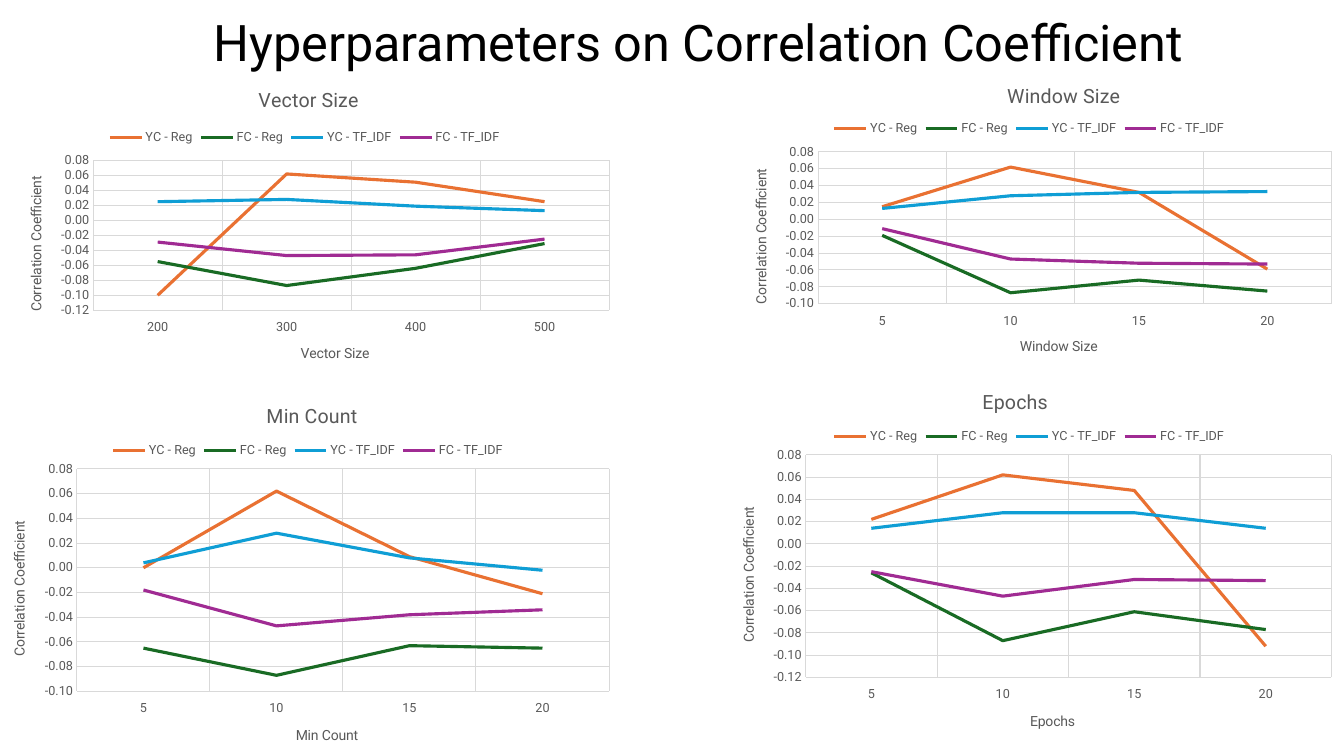
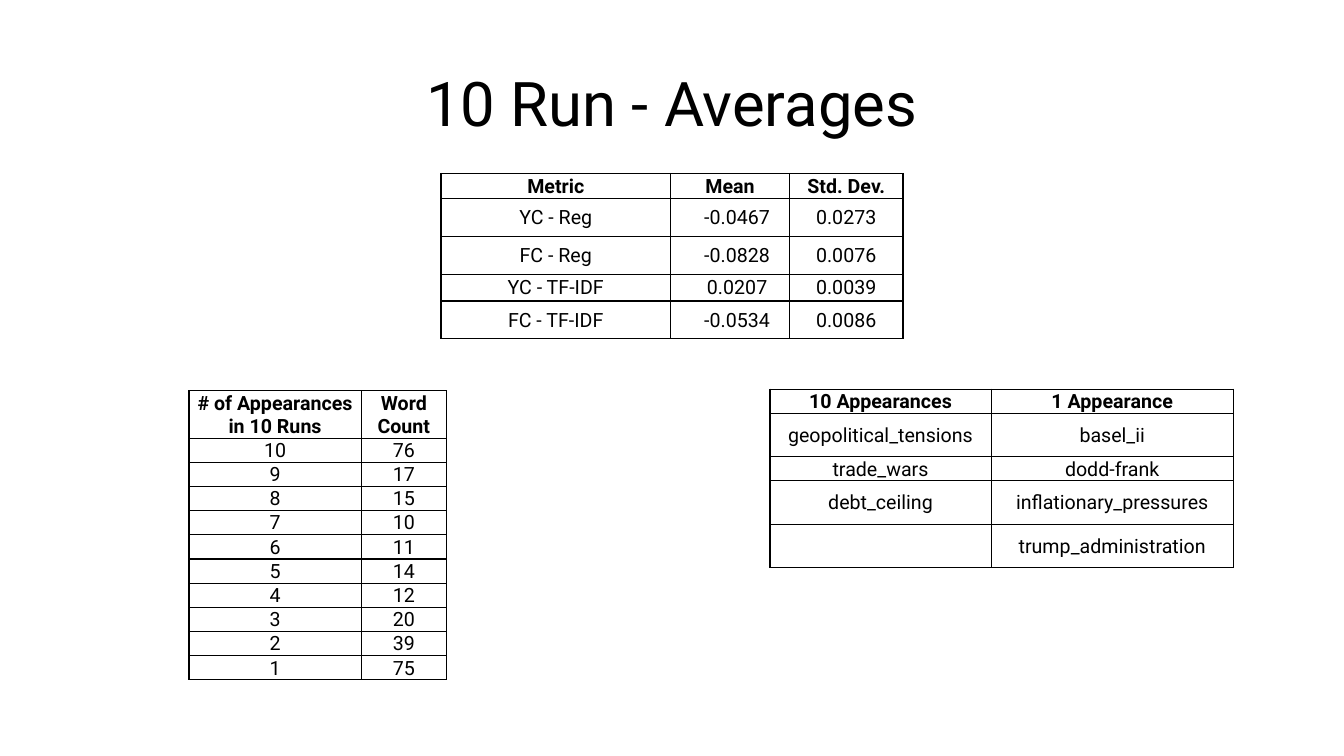
from pptx import Presentation
from pptx.chart.data import CategoryChartData
from pptx.dml.color import RGBColor
from pptx.enum.chart import (XL_CHART_TYPE as ChartType, XL_LEGEND_POSITION as LegendPos,
                             XL_MARKER_STYLE as Marker, XL_TICK_LABEL_POSITION as LabelPos,
                             XL_TICK_MARK as Tick)
from pptx.enum.text import MSO_ANCHOR as Anchor, MSO_AUTO_SIZE as AutoSize, PP_ALIGN as Align
from pptx.oxml import parse_xml
from pptx.oxml.ns import nsdecls, qn
from pptx.util import Pt

FONT = "Roboto"
BLACK = RGBColor(0x00, 0x00, 0x00)
GRAY = RGBColor(0x59, 0x59, 0x59)
GRID = RGBColor(0xD9, 0xD9, 0xD9)
SERIES = [
    ("YC - Reg", RGBColor(0xE9, 0x71, 0x32)),
    ("FC - Reg", RGBColor(0x19, 0x6B, 0x24)),
    ("YC - TF_IDF", RGBColor(0x0F, 0x9E, 0xD5)),
    ("FC - TF_IDF", RGBColor(0xA0, 0x2B, 0x93)),
]
LEGEND_TOP = 40

# name, box, axis minimum, title corner, plot area, categories, one row per series
CHARTS = [
    ("Vector Size", (0, 50, 444, 223), -0.12, (0.41, 0.04), (0.15, 0.29, 0.83, 0.48),
     ("200", "300", "400", "500"),
     [(-0.1, 0.062, 0.051, 0.025), (-0.055, -0.087, -0.064, -0.031),
      (0.025, 0.028, 0.019, 0.013), (-0.029, -0.047, -0.046, -0.025)]),
    ("Window Size", (518, 43, 442, 226), -0.1, (0.45, 0.06), (0.15, 0.29, 0.83, 0.48),
     ("5", "10", "15", "20"),
     [(0.015, 0.062, 0.032, -0.059), (-0.019, -0.087, -0.072, -0.085),
      (0.013, 0.028, 0.032, 0.033), (-0.011, -0.047, -0.052, -0.053)]),
    ("Min Count", (0, 274, 458, 265), -0.1, (0.41, 0.04), (0.12, 0.23, 0.83, 0.6),
     ("5", "10", "15", "20"),
     [(0, 0.062, 0.009, -0.021), (-0.065, -0.087, -0.063, -0.065),
      (0.004, 0.028, 0.008, -0.002), (-0.018, -0.047, -0.038, -0.034)]),
    ("Epochs", (518, 264, 442, 265), -0.12, (0.41, 0.04), (0.13, 0.23, 0.85, 0.6),
     ("5", "10", "15", "20"),
     [(0.022, 0.062, 0.048, -0.092), (-0.026, -0.087, -0.061, -0.077),
      (0.014, 0.028, 0.028, 0.014), (-0.025, -0.047, -0.032, -0.033)]),
]

METRICS = [
    ("Metric", "Mean", "Std. Dev."),
    ("YC - Reg", "-0.0467", "0.0273"),
    ("FC - Reg", "-0.0828", "0.0076"),
    ("YC - TF-IDF", "0.0207", "0.0039"),
    ("FC - TF-IDF", "-0.0534", "0.0086"),
]
WORD_COUNTS = [76, 17, 15, 10, 11, 14, 12, 20, 39, 75]
APPEARANCES = [("# of Appearances in 10 Runs", "Word Count")] + [
    (str(10 - i), str(count)) for i, count in enumerate(WORD_COUNTS)]
WORDS = [
    ("10 Appearances", "1 Appearance"),
    ("geopolitical_tensions", "basel_ii"),
    ("trade_wars", "dodd-frank"),
    ("debt_ceiling", "inflationary_pressures"),
    ("", "trump_administration"),
]


def style_font(font, size, color, bold=False):
    font.name = FONT
    font.size = Pt(size)
    font.bold = bold
    font.color.rgb = color


def add_span(para, text, size, color, bold=False):
    span = para.add_run()
    span.text = text
    style_font(span.font, size, color, bold)


def add_titled_page(deck, text, box, size):
    page = deck.slides.add_slide(deck.slide_layouts[5])
    title = page.shapes.title
    title.left, title.top, title.width, title.height = map(Pt, box)
    frame = title.text_frame
    frame.word_wrap = True
    frame.auto_size = AutoSize.NONE
    frame.vertical_anchor = Anchor.MIDDLE
    para = frame.paragraphs[0]
    para.alignment = Align.CENTER
    para.line_spacing = 0.9
    add_span(para, text, size, BLACK)
    return page


def set_layout(element, **fractions):
    """Fix the place of a chart part, in fractions of the chart's size."""
    for old in element.findall(qn("c:layout")):
        element.remove(old)
    target = '<c:layoutTarget val="inner"/>' if "w" in fractions else ""
    modes = "".join(f'<c:{key}Mode val="edge"/>' for key in "xy")
    values = "".join(f'<c:{key} val="{value:.2f}"/>' for key, value in fractions.items())
    layout = parse_xml(f'<c:layout {nsdecls("c")}><c:manualLayout>{target}{modes}{values}'
                       '</c:manualLayout></c:layout>')
    leading = [child for child in element if child.tag in (qn("c:tx"), qn("c:legendPos"))]
    element.insert(len(leading), layout)


def style_axis(axis, title):
    axis.has_major_gridlines = True
    axis.major_tick_mark = axis.minor_tick_mark = Tick.NONE
    for line in (axis.format.line, axis.major_gridlines.format.line):
        line.color.rgb = GRID
        line.width = Pt(0.75)
    style_font(axis.tick_labels.font, 9, GRAY)
    add_span(axis.axis_title.text_frame.paragraphs[0], title, 10, GRAY)


def add_line_chart(page, name, box, minimum, corner, plot_area, categories, rows):
    data = CategoryChartData(number_format="0.00")
    data.categories = categories
    for (label, _), values in zip(SERIES, rows):
        data.add_series(label, values)
    chart = page.shapes.add_chart(ChartType.LINE, *map(Pt, box), data).chart
    style_font(chart.font, 10, BLACK)

    chart.has_title = True
    add_span(chart.chart_title.text_frame.paragraphs[0], name, 14, GRAY)
    chart.has_legend = True
    chart.legend.position = LegendPos.TOP
    chart.legend.include_in_layout = False
    style_font(chart.legend.font, 9, GRAY)

    style_axis(chart.category_axis, name)
    chart.category_axis.tick_label_position = LabelPos.LOW
    scale = chart.value_axis
    style_axis(scale, "Correlation Coefficient")
    scale.format.line.fill.background()
    scale.minimum_scale, scale.maximum_scale, scale.major_unit = minimum, 0.08, 0.02
    scale.tick_labels.number_format = "0.00"
    scale.tick_labels.number_format_is_linked = False

    plot = chart.plots[0]
    plot.vary_by_categories = False
    for series, (_, color) in zip(plot.series, SERIES):
        series.smooth = False
        series.marker.style = Marker.NONE
        series.format.line.color.rgb = color
        series.format.line.width = Pt(2.25)

    title, area, legend = (chart.element.xpath(f"c:chart/c:{part}")[0]
                           for part in ("title", "plotArea", "legend"))
    set_layout(title, **dict(zip("xy", corner)))
    set_layout(area, **dict(zip("xywh", plot_area)))
    set_layout(legend, x=0.17, y=LEGEND_TOP / box[3])


def add_borders(cell):
    properties = cell._tc.get_or_add_tcPr()
    for i, side in enumerate("LRTB"):
        properties.insert(i, parse_xml(
            f'<a:ln{side} {nsdecls("a")} w="{Pt(1)}"><a:solidFill>'
            f'<a:srgbClr val="{BLACK}"/></a:solidFill></a:ln{side}>'))


def fill_cell(cell, text, bold, indent):
    cell.fill.background()
    add_borders(cell)
    cell.vertical_anchor = Anchor.MIDDLE
    cell.margin_left = Pt(indent)
    cell.margin_top = cell.margin_right = Pt(0.7)
    cell.margin_bottom = 0
    para = cell.text_frame.paragraphs[0]
    para.alignment = Align.CENTER
    if text:
        add_span(para, text, 14, BLACK, bold)


def add_grid(page, left, top, widths, heights, rows, indents=()):
    """Add a bordered table; indents maps a column to the left margin of its body cells."""
    table = page.shapes.add_table(len(rows), len(widths), Pt(left), Pt(top),
                                  Pt(sum(widths)), Pt(sum(heights))).table
    table.first_row = table.horz_banding = False
    for column, width in zip(table.columns, widths):
        column.width = Pt(width)
    for r, (row, height) in enumerate(zip(rows, heights)):
        table.rows[r].height = Pt(height)
        for c, text in enumerate(row):
            indent = dict(indents).get(c, 0.7) if r else 0.7
            fill_cell(table.cell(r, c), text, r == 0, indent)


def main():
    deck = Presentation()
    deck.slide_width, deck.slide_height = Pt(960), Pt(540)

    page = add_titled_page(deck, "Hyperparameters on Correlation Coefficient",
                           (104, 0, 790, 64), 36)
    for chart in CHARTS:
        add_line_chart(page, *chart)

    page = add_titled_page(deck, "10 Run - Averages", (66, 24, 828, 104), 44)
    add_grid(page, 315, 124, (164, 85, 81), (18, 27, 27, 19, 27), METRICS, {1: 10.8})
    add_grid(page, 135, 279, (123, 61), [34] + [17] * 10, APPEARANCES)
    add_grid(page, 550, 278, (158, 173), (17, 31, 17, 31, 31), WORDS)

    deck.save("out.pptx")


if __name__ == "__main__":
    main()
